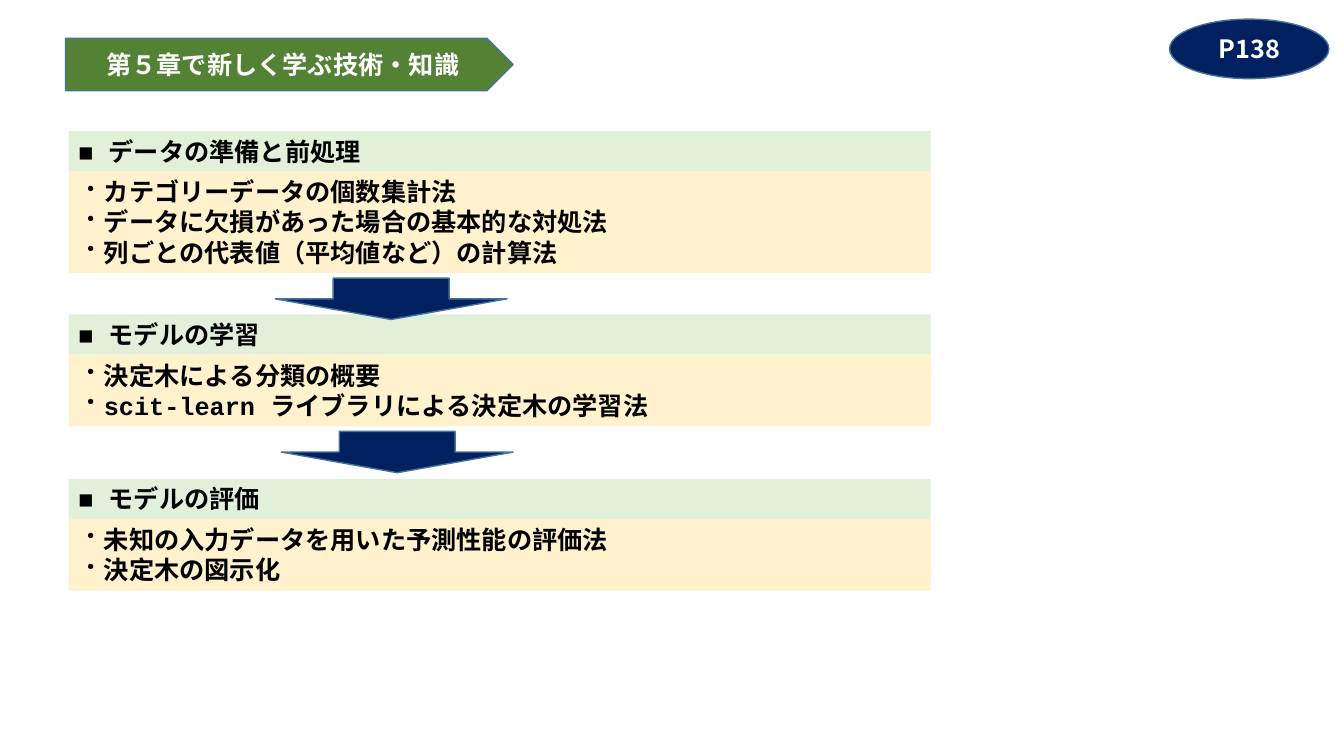
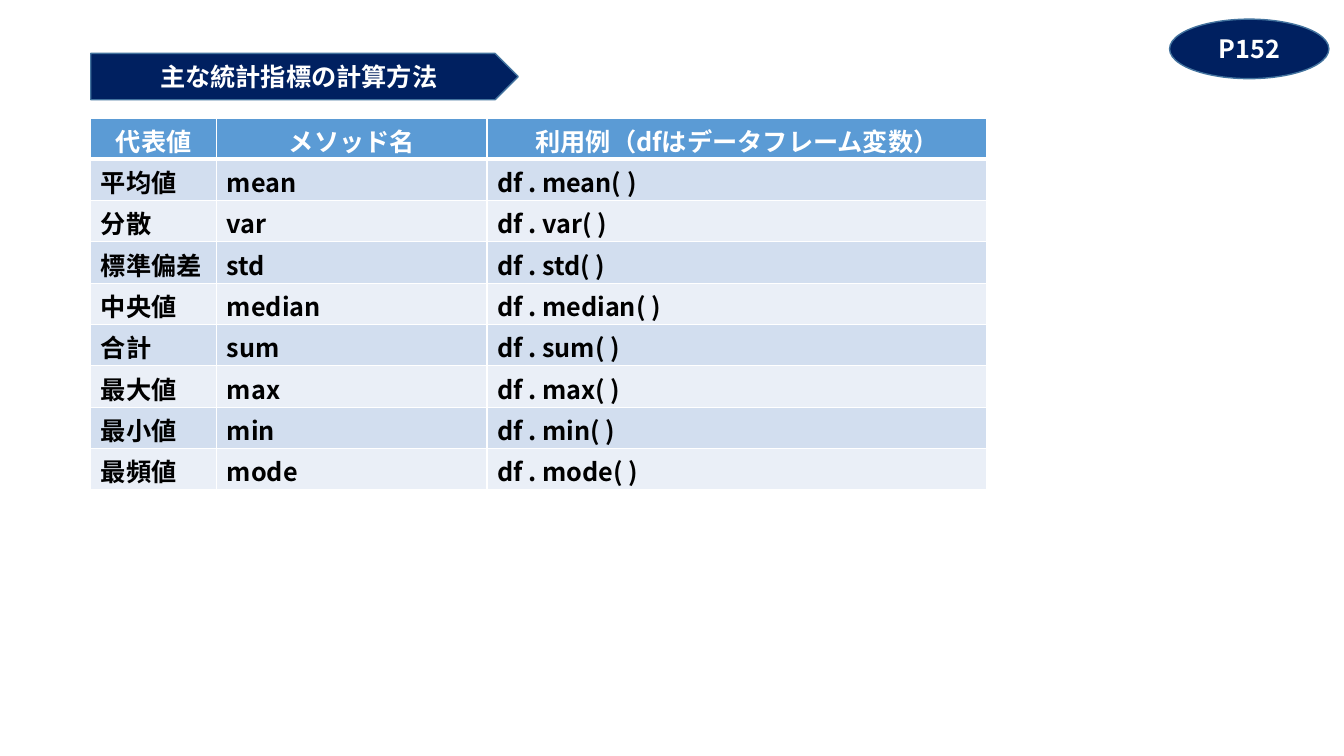
from lxml.etree import SubElement
from pptx import Presentation
from pptx.dml.color import RGBColor
from pptx.enum.shapes import MSO_SHAPE
from pptx.enum.text import MSO_ANCHOR, MSO_AUTO_SIZE, PP_ALIGN
from pptx.oxml.ns import qn
from pptx.util import Inches, Pt

NAVY, GREEN, OUTLINE = "002060", "548235", "43739E"
CREAM, MINT, WHITE, BLACK = "FFF2CC", "E2F0D9", "FFFFFF", "000000"
TABLE_HEAD, TABLE_BANDS = "5B9BD5", ("EAEFF7", "D2DEEF")
SANS, MONO = "Noto Sans CJK JP", "Courier New"
TITLE_ONLY, COMPARISON = 5, 4
SECTION_LEFT, SECTION_WIDTH, HEADING_HEIGHT = 0.68, 8.55, 0.4

SECTIONS = [
    (1.3, "■ データの準備と前処理",
     ["カテゴリーデータの個数集計法",
      "データに欠損があった場合の基本的な対処法",
      "列ごとの代表値（平均値など）の計算法"]),
    (3.12, "■ モデルの学習",
     ["決定木による分類の概要",
      "scit-learn ライブラリによる決定木の学習法"]),
    (4.75, "■ モデルの評価",
     ["未知の入力データを用いた予測性能の評価法",
      "決定木の図示化"]),
]
TABLE_HEADINGS = ("代表値", "メソッド名", "利用例（dfはデータフレーム変数）")
METHODS = {
    "平均値": "mean", "分散": "var", "標準偏差": "std", "中央値": "median",
    "合計": "sum", "最大値": "max", "最小値": "min", "最頻値": "mode",
}


def color(value):
    return RGBColor.from_string(value)


def paint(target, value):
    target.fill.solid()
    target.fill.fore_color.rgb = color(value)


class LessonDeck:
    def __init__(self):
        self.deck = Presentation()
        self.deck.slide_width = Inches(13.33)
        self.deck.slide_height = Inches(7.5)
        self.page = None

    def add_page(self, layout, number):
        self.page = self.deck.slides.add_slide(self.deck.slide_layouts[layout])
        badge = self.shape(MSO_SHAPE.OVAL, 11.6, 0.19, 1.58, 0.59, NAVY)
        self.set_text(badge.text_frame, [number], SANS, WHITE, PP_ALIGN.CENTER)

    def shape(self, kind, left, top, width, height, fill):
        shape = self.page.shapes.add_shape(
            kind, Inches(left), Inches(top), Inches(width), Inches(height))
        shape.shadow.inherit = False
        paint(shape, fill)
        shape.line.color.rgb = color(OUTLINE)
        shape.line.width = Pt(1)
        return shape

    def place(self, box, left, top, width, height):
        box.left, box.top = Inches(left), Inches(top)
        box.width, box.height = Inches(width), Inches(height)

    def set_text(self, frame, lines, font, ink, align=PP_ALIGN.LEFT,
                 anchor=MSO_ANCHOR.MIDDLE, bullet=None):
        frame.text = "\n".join(lines)
        frame.word_wrap = True
        frame.auto_size = MSO_AUTO_SIZE.NONE
        frame.vertical_anchor = anchor
        frame.margin_left = frame.margin_right = Inches(0.1)
        frame.margin_top = frame.margin_bottom = Inches(0.05)
        for para in frame.paragraphs:
            if bullet:
                self.add_bullet(para, bullet, font)
            self.style(para, font, ink, align)

    def add_bullet(self, para, bullet, font):
        properties = para._p.get_or_add_pPr()
        properties.set("marL", str(Inches(0.1)))
        properties.set("indent", str(-Inches(0.1)))
        SubElement(properties, qn("a:buFont"), typeface=font)
        SubElement(properties, qn("a:buChar"), char=bullet)

    def style(self, para, font, ink, align):
        para.alignment = align
        para.line_spacing = 1.0
        para.space_before = Pt(0)
        for span in para.runs:
            span.font.size = Pt(18)
            span.font.bold = True
            span.font.color.rgb = color(ink)
            span.font.name = font
            SubElement(span._r.get_or_add_rPr(), qn("a:ea"), typeface=font)

    def title(self, text, left, top, width, height, fill):
        banner = self.shape(MSO_SHAPE.PENTAGON, left, top, width, height, fill)
        title = self.page.shapes.title
        banner._element.addnext(title._element)
        self.place(title, left, top, width - height / 4, height)
        self.set_text(title.text_frame, [text], SANS, WHITE, PP_ALIGN.CENTER)

    def section(self, body, top, heading, items):
        box = self.page.shapes.add_textbox(
            Inches(SECTION_LEFT), Inches(top),
            Inches(SECTION_WIDTH), Inches(HEADING_HEIGHT))
        paint(box, MINT)
        self.set_text(box.text_frame, [heading], MONO, BLACK,
                      anchor=MSO_ANCHOR.TOP)
        body_top = top + HEADING_HEIGHT
        body_height = 0.11 + 0.3 * len(items)
        self.place(body, SECTION_LEFT, body_top, SECTION_WIDTH, body_height)
        paint(body, CREAM)
        self.set_text(body.text_frame, items, MONO, BLACK,
                      anchor=MSO_ANCHOR.TOP, bullet="・")
        return body_top + body_height

    def arrow(self, left, top):
        self.shape(MSO_SHAPE.DOWN_ARROW, left, top, 2.3, 0.41, NAVY)

    def border(self, cell, is_header):
        properties = cell._tc.get_or_add_tcPr()
        for side in ("L", "R", "T", "B"):
            points = 3 if is_header and side == "B" else 1
            line = SubElement(properties, qn(f"a:ln{side}"), w=str(Pt(points)))
            fill = SubElement(line, qn("a:solidFill"))
            SubElement(fill, qn("a:srgbClr"), val=WHITE)

    def table(self, rows, left, top, widths, row_height):
        table = self.page.shapes.add_table(
            len(rows), len(widths), Inches(left), Inches(top),
            Inches(sum(widths)), Inches(row_height * len(rows))).table
        for column, width in zip(table.columns, widths):
            column.width = Inches(width)
        for row_index, values in enumerate(rows):
            is_header = row_index == 0
            ink = WHITE if is_header else BLACK
            align = PP_ALIGN.CENTER if is_header else PP_ALIGN.LEFT
            fill = TABLE_HEAD if is_header else TABLE_BANDS[row_index % 2]
            for column_index, value in enumerate(values):
                cell = table.cell(row_index, column_index)
                cell.text = value
                cell.margin_top, cell.margin_bottom = Inches(0.04), 0
                self.border(cell, is_header)
                paint(cell, fill)
                self.style(cell.text_frame.paragraphs[0], SANS, ink, align)


def build_skills(lesson):
    lesson.add_page(COMPARISON, "P138")
    lesson.title("第５章で新しく学ぶ技術・知識", 0.65, 0.38, 4.44, 0.52, GREEN)
    bodies = list(lesson.page.placeholders)[1:]
    bottoms = [lesson.section(body, *section)
               for body, section in zip(bodies, SECTIONS)]
    for spare in bodies[len(SECTIONS):]:
        spare._element.getparent().remove(spare._element)
    for left, bottom in zip((2.73, 2.79), bottoms):
        lesson.arrow(left, bottom + 0.05)


def build_statistics(lesson):
    lesson.add_page(TITLE_ONLY, "P152")
    lesson.title("主な統計指標の計算方法", 0.9, 0.53, 4.24, 0.46, NAVY)
    rows = [TABLE_HEADINGS]
    rows += [(name, method, f"df . {method}( )")
             for name, method in METHODS.items()]
    lesson.table(rows, 0.9, 1.17, (1.25, 2.68, 4.96), 0.41)


def main():
    lesson = LessonDeck()
    build_skills(lesson)
    build_statistics(lesson)
    lesson.deck.save("out.pptx")


if __name__ == "__main__":
    main()
